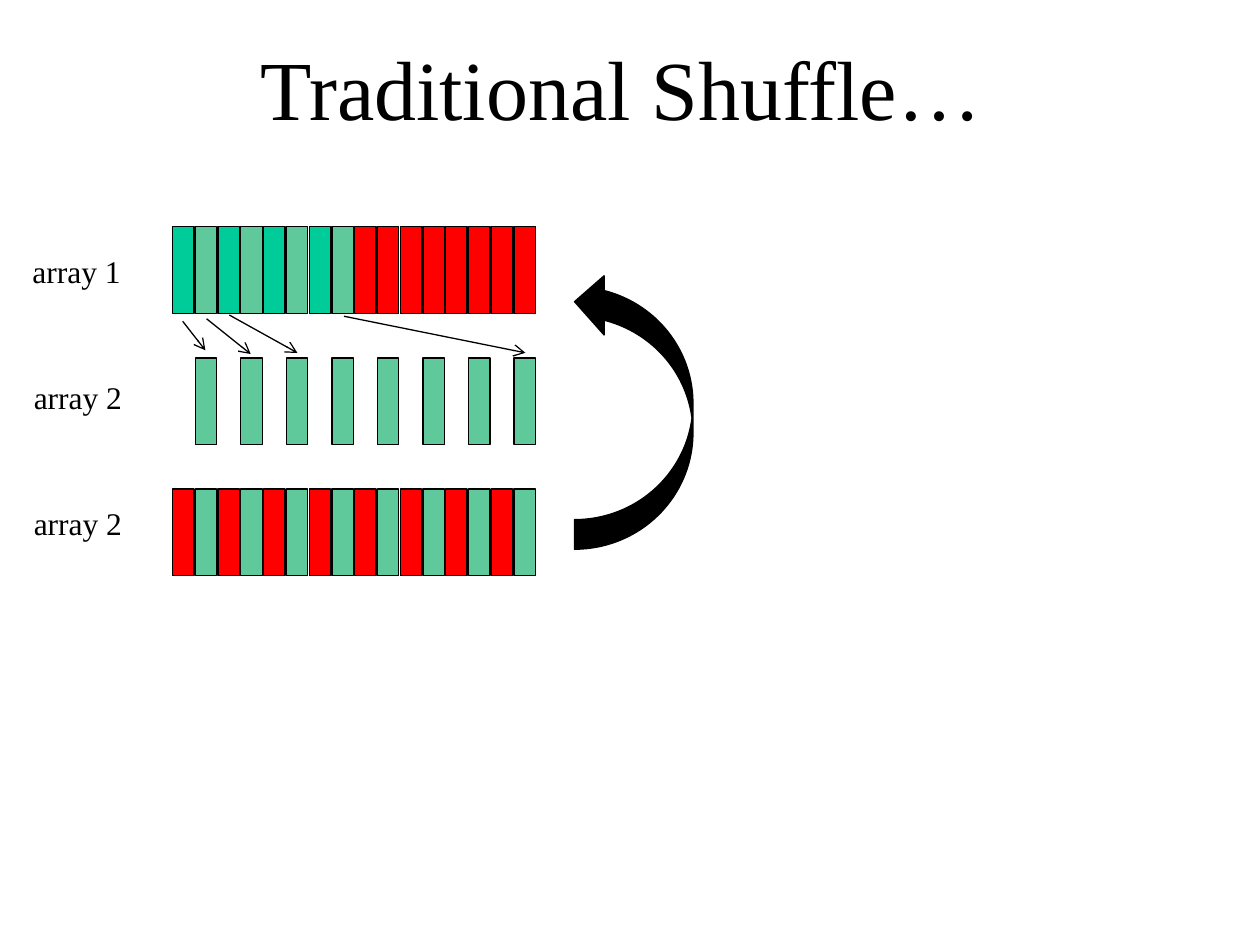
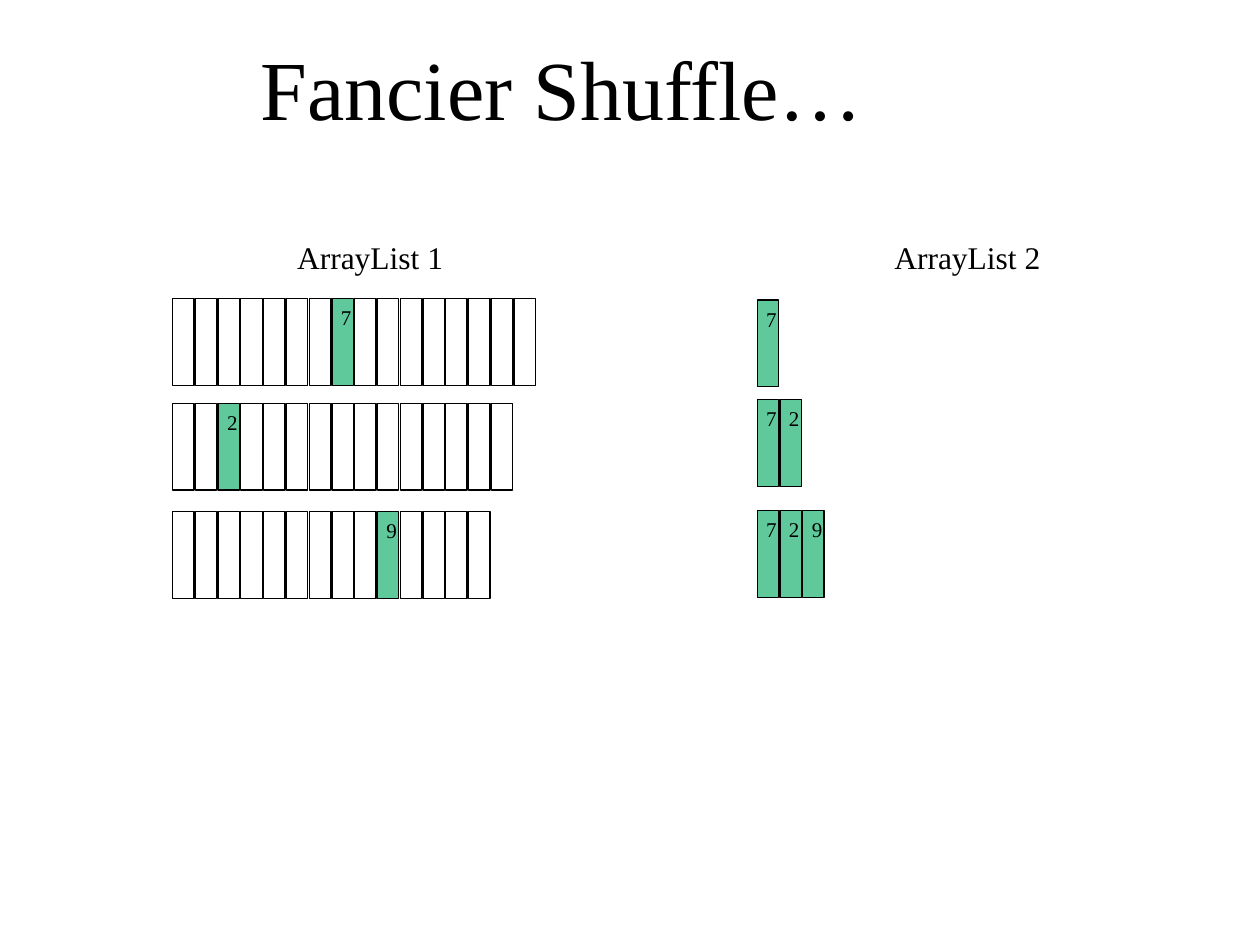
from lxml import etree
from pptx import Presentation
from pptx.dml.color import RGBColor
from pptx.enum.shapes import MSO_CONNECTOR, MSO_SHAPE
from pptx.enum.text import MSO_ANCHOR, MSO_AUTO_SIZE, PP_ALIGN
from pptx.oxml.ns import qn
from pptx.util import Inches, Pt

RECT = MSO_SHAPE.RECTANGLE
BEND = MSO_SHAPE.CURVED_LEFT_ARROW
LINE = MSO_CONNECTOR.STRAIGHT
LEFT, TOP = PP_ALIGN.LEFT, MSO_ANCHOR.TOP
FIXED = MSO_AUTO_SIZE.NONE

FONT = "Times New Roman"
COLORS = {"ink": "000000", "teal": "00CC99", "green": "60C99C",
          "red": "FF0000", "white": "FFFFFF"}
KINDS = {"t": "teal", "g": "green", "r": "red", ".": "white"}

CARD_W, CARD_H = 0.17, 0.69
DECK_X = 1.37
PITCH = (4.08 - DECK_X) / 15  # sixteen cards across the deck
LIST_X = 6.01

# Each row: left, top, one mark per card; a digit is a green card with that
# number, a space leaves a gap.
SLIDES = [
    {
        "title": ("Traditional Shuffle…", 5.96),
        "labels": [("array 1", 0.16, 1.95, 0.9),
                   ("array 2", 0.17, 2.95, 0.9),
                   ("array 2", 0.17, 3.95, 0.9)],
        "rows": [(DECK_X, 1.8, "tg" * 4 + "r" * 8),
                 (DECK_X, 2.84, " g" * 8),
                 (DECK_X, 3.88, "rg" * 8)],
        "moves": [(1.45, 2.55, 1.63, 2.78), (1.64, 2.53, 1.99, 2.81),
                  (1.82, 2.5, 2.36, 2.8), (2.73, 2.51, 4.17, 2.8)],
        "bend": (4.56, 2.16, 0.94, 2.2),
    },
    {
        "title": ("Fancier Shuffle…", 4.99),
        "labels": [("ArrayList 1", 2.26, 1.84, 1.36),
                   ("ArrayList 2", 7, 1.84, 1.36)],
        "rows": [(DECK_X, 2.37, "." * 7 + "7" + "." * 8),
                 (DECK_X, 3.2, "..2" + "." * 12),
                 (DECK_X, 4.06, "." * 9 + "9" + "." * 4),
                 (LIST_X, 2.38, "7"),
                 (LIST_X, 3.17, "72"),
                 (LIST_X, 4.05, "729")],
    },
]


def color(name):
    return RGBColor.from_string(COLORS[name])


def write(shape, text, size, wrap=False):
    frame = shape.text_frame
    frame.auto_size = FIXED
    frame.word_wrap = wrap
    frame.vertical_anchor = TOP
    para = frame.paragraphs[0]
    para.alignment = LEFT
    run = para.add_run()
    run.text = text
    run.font.name = FONT
    run.font.size = Pt(size)
    run.font.color.rgb = color("ink")


def add_solid(slide, kind, box, fill):
    shape = slide.shapes.add_shape(kind, *map(Inches, box))
    shape.shadow.inherit = False
    shape.fill.solid()
    shape.fill.fore_color.rgb = color(fill)
    shape.line.color.rgb = color("ink")
    shape.line.width = Pt(0.75)
    return shape


def add_row(slide, left, top, marks):
    for i, mark in enumerate(marks):
        if mark == " ":
            continue
        box = (left + i * PITCH, top, CARD_W, CARD_H)
        card = add_solid(slide, RECT, box, KINDS.get(mark, "green"))
        if mark.isdigit():
            write(card, mark, 12, wrap=True)


def add_move(slide, ends):
    move = slide.shapes.add_connector(LINE, *map(Inches, ends))
    move.line.color.rgb = color("ink")
    move.line.width = Pt(0.75)
    props = move.line._get_or_add_ln()
    etree.SubElement(props, qn("a:tailEnd"), type="arrow")
    etree.SubElement(move._element.spPr, qn("a:effectLst"))


def add_bend(slide, box):
    """Curved arrow from the bottom row back up to the top one."""
    bend = add_solid(slide, BEND, box, "ink")
    bend._element.spPr.find(qn("a:xfrm")).set("flipV", "1")


def add_title(slide, text, width):
    title = slide.shapes.title
    title.left, title.top = Inches(1.97), Inches(0.24)
    title.width, title.height = Inches(width), Inches(0.9)
    write(title, text, 48)


def build(deck, data):
    slide = deck.slides.add_slide(deck.slide_layouts[5])
    add_title(slide, *data["title"])
    for row in data["rows"]:
        add_row(slide, *row)
    for text, left, top, width in data["labels"]:
        box = map(Inches, (left, top, width, 0.4))
        write(slide.shapes.add_textbox(*box), text, 18)
    for ends in data.get("moves", []):
        add_move(slide, ends)
    if "bend" in data:
        add_bend(slide, data["bend"])


def main():
    deck = Presentation()
    deck.slide_width, deck.slide_height = Inches(10), Inches(7.5)
    for data in SLIDES:
        build(deck, data)
    deck.save("out.pptx")


if __name__ == "__main__":
    main()
